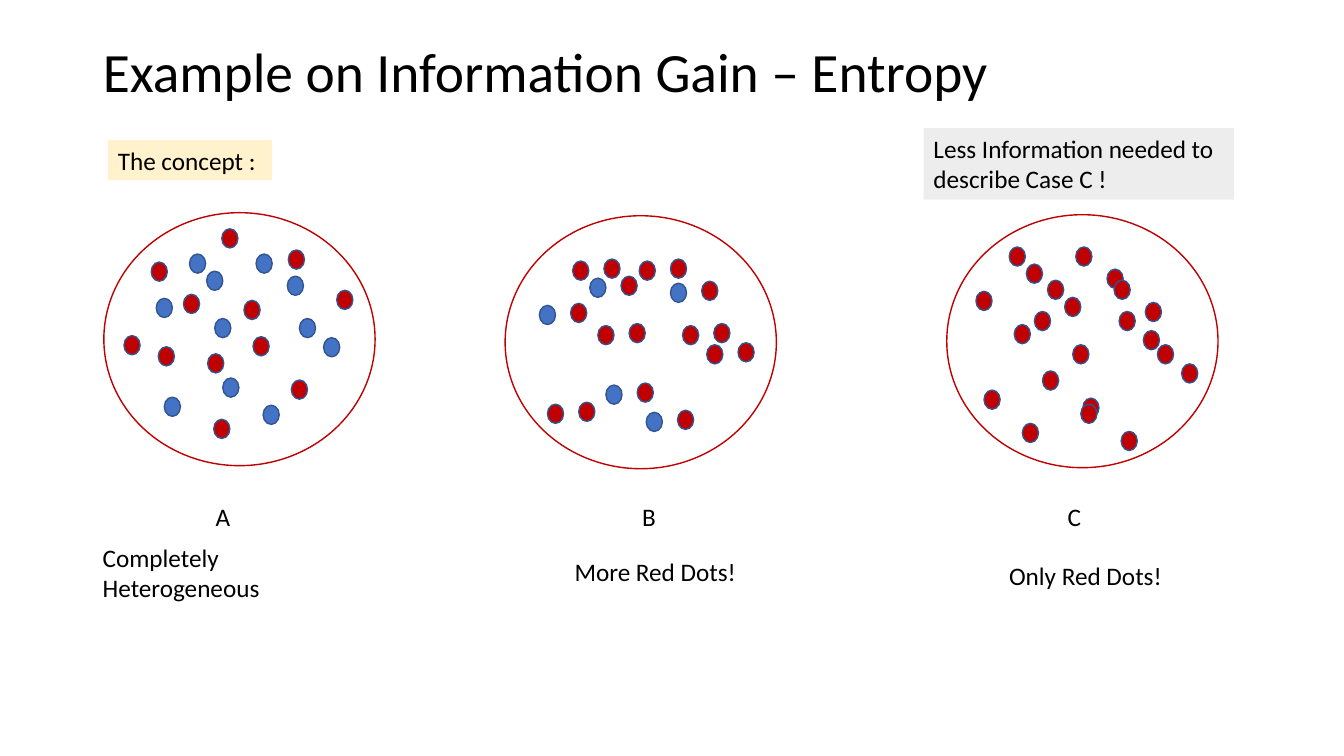
"""Build a slide that explains information gain with three dot clusters."""
from pptx import Presentation
from pptx import util as u
from pptx.dml.color import RGBColor
from pptx.enum import shapes, text

BLACK = RGBColor(0x00, 0x00, 0x00)
RED = RGBColor(0xC0, 0x00, 0x00)
BLUE = RGBColor(0x44, 0x72, 0xC4)
DOT_EDGE = RGBColor(0x32, 0x54, 0x91)
CREAM = RGBColor(0xFF, 0xF2, 0xCC)
GREY = RGBColor(0xED, 0xED, 0xED)

SCATTER = [(0, 0), (1.33, 0.83), (0.17, 0.17), (-0.33, 0.44), (0.66, 0), (0.97, 0.22),
           (-0.25, 1.42), (1.09, 0.64), (0.25, 0.64), (0.33, 1.23), (0.73, 1.5)]
ALL_BLUE = range(len(SCATTER))
CLUSTERS = [
    (10.01, 2.45, ()),
    (5.99, 2.57, ()),
    (10.39, 2.78, ()),
    (5.68, 2.59, (2, 3, 5, 9, 10)),
    (1.88, 2.52, ALL_BLUE),
]
MIXED_RED = [(2.42, 2.98), (1.5, 2.6), (2.06, 3.51), (1.23, 3.33), (1.57, 3.44), (3.34, 2.88),
             (2.2, 2.27), (2.12, 4.16), (2.86, 2.48), (2.51, 3.34), (2.89, 3.77), (1.82, 2.92)]
CASES = [
    ("A", 1.03, 2.11, 2.04, "Completely Heterogeneous", 0.92, 5.33, 0.71),
    ("B", 5.01, 2.14, 6.27, "More Red Dots!", 5.6, 5.47, 0.4),
    ("C", 9.39, 2.13, 10.49, "Only Red Dots!", 9.91, 5.51, 0.4),
]


class SlideBuilder:
    font_name = "Calibri"
    body_size = 18
    title_size = 39.6

    def __init__(self, presentation):
        self.slide = presentation.slides.add_slide(presentation.slide_layouts[5])

    def set_wording(self, shape, wording, size):
        frame = shape.text_frame
        frame.text = wording
        frame.word_wrap = True
        paragraph = frame.paragraphs[0]
        paragraph.alignment = text.PP_ALIGN.LEFT
        font = paragraph.runs[0].font
        font.name = self.font_name
        font.size = u.Pt(size)
        font.color.rgb = BLACK
        return paragraph

    def title(self, wording, left, top, width, height):
        shape = self.slide.shapes.title
        shape.left, shape.top = u.Inches(left), u.Inches(top)
        shape.width, shape.height = u.Inches(width), u.Inches(height)
        paragraph = self.set_wording(shape, wording, self.title_size)
        paragraph.line_spacing = 0.9
        shape.text_frame.vertical_anchor = text.MSO_ANCHOR.MIDDLE

    def label(self, wording, left, top, width, height, fill=None):
        shape = self.slide.shapes.add_textbox(
            u.Inches(left), u.Inches(top), u.Inches(width), u.Inches(height))
        if fill is not None:
            shape.fill.solid()
            shape.fill.fore_color.rgb = fill
        self.set_wording(shape, wording, self.body_size)

    def ellipse(self, left, top, width, height, line, fill=None):
        shape = self.slide.shapes.add_shape(
            shapes.MSO_SHAPE.OVAL,
            u.Inches(left), u.Inches(top), u.Inches(width), u.Inches(height))
        shape.shadow.inherit = False
        if fill is None:
            shape.fill.background()
        else:
            shape.fill.solid()
            shape.fill.fore_color.rgb = fill
        shape.line.color.rgb = line
        shape.line.width = u.Pt(1)

    def dot(self, left, top, fill):
        self.ellipse(left, top, 0.16, 0.19, DOT_EDGE, fill)

    def cluster(self, left, top, blue_dots):
        for index, (right, down) in enumerate(SCATTER):
            self.dot(left + right, top + down, BLUE if index in blue_dots else RED)


def main():
    presentation = Presentation()
    presentation.slide_width = u.Inches(13.33)
    presentation.slide_height = u.Inches(7.5)
    builder = SlideBuilder(presentation)

    builder.title("Example on Information Gain – Entropy", 0.92, 0.4, 11.5, 0.67)
    builder.label("The concept :", 1.07, 1.39, 1.63, 0.4, CREAM)
    for letter, left, top, letter_left, note, note_left, note_top, note_height in CASES:
        builder.ellipse(left, top, 2.69, 2.51, RED)
        builder.label(letter, letter_left, 4.92, 0.4, 0.4)
        builder.label(note, note_left, note_top, 2.13, note_height)
    for left, top, blue_dots in CLUSTERS:
        builder.cluster(left, top, blue_dots)
    for left, top in MIXED_RED:
        builder.dot(left, top, RED)
    builder.label("Less Information needed to describe Case C !", 9.16, 1.27, 3.08, 0.71, GREY)

    presentation.save("out.pptx")


if __name__ == "__main__":
    main()
